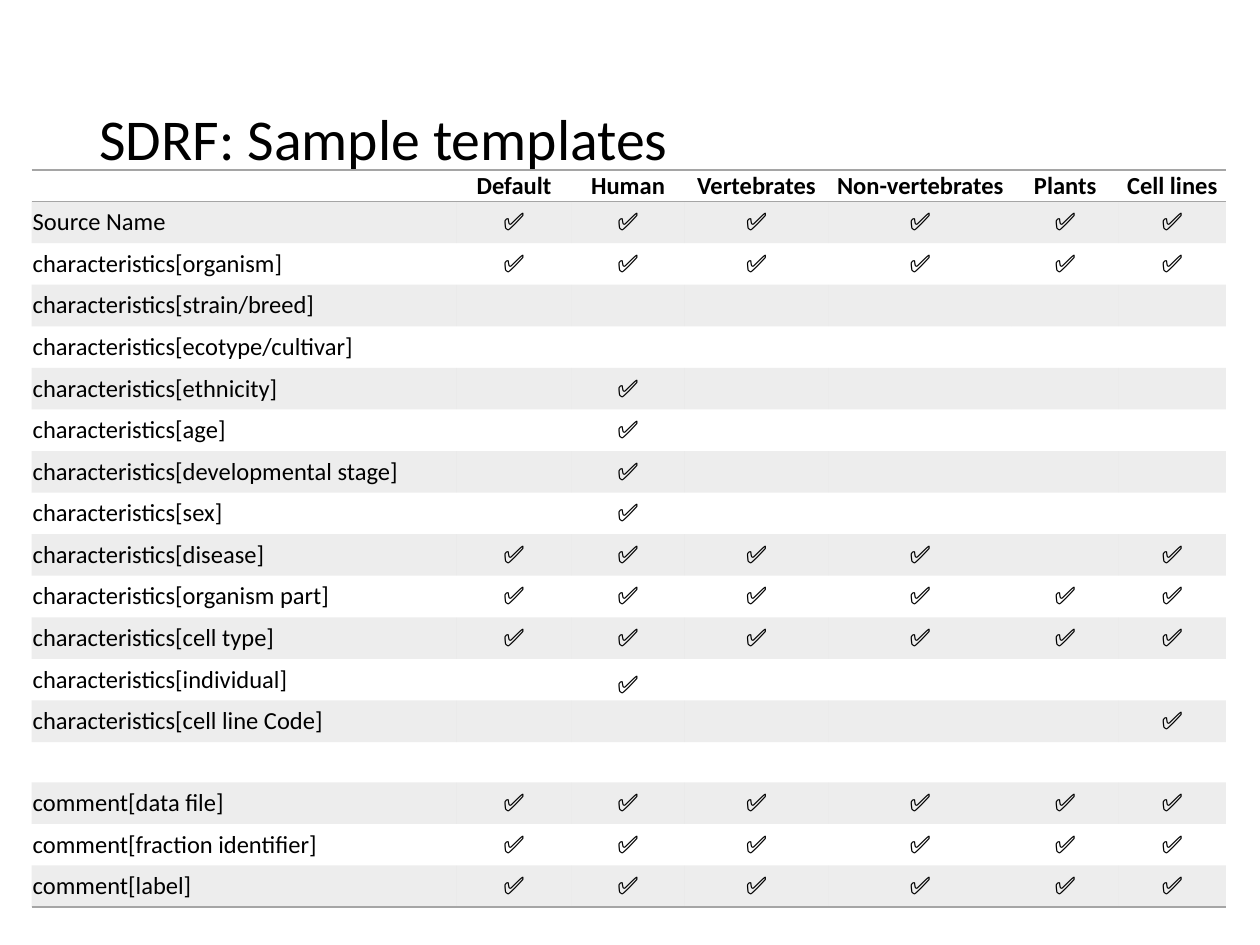
from lxml.etree import SubElement
from pptx import Presentation
from pptx.dml.color import RGBColor as RGB
from pptx.enum.text import MSO_ANCHOR as ANCHOR, PP_ALIGN as ALIGN
from pptx.oxml import parse_xml
from pptx.oxml.ns import nsdecls, qn
from pptx.util import Inches, Pt

COLORS = {"text": "000000", "rule": "A5A5A5", "band": "A5A5A5"}
TICK = "✅"
NO_STYLE = "{2D5ABB26-0587-4C30-8999-92F81FD0307C}"

HEADER = ["", "Default", "Human", "Vertebrates", "Non-vertebrates", "Plants", "Cell lines"]
# Each property with the template columns (1 to 6) that require it
ALL = "123456"
PROPERTIES = [
    ("Source Name", ALL),
    ("characteristics[organism]", ALL),
    ("characteristics[strain/breed]", ""),
    ("characteristics[ecotype/cultivar]", ""),
    ("characteristics[ethnicity]", "2"),
    ("characteristics[age]", "2"),
    ("characteristics[developmental stage]", "2"),
    ("characteristics[sex]", "2"),
    ("characteristics[disease]", "12346"),
    ("characteristics[organism part]", ALL),
    ("characteristics[cell type]", ALL),
    ("characteristics[individual]", "2"),
    ("characteristics[cell line Code]", "6"),
    ("", ""),
    ("comment[data file]", ALL),
    ("comment[fraction identifier]", ALL),
    ("comment[label]", ALL),
]
# Grid of 100 columns by 75 rows
COLUMN_WIDTHS = [33.7, 9.2, 8.9, 11.5, 14.5, 8.5, 8.5]
HEADER_ROW, BODY_ROW, BLANK_ROW = 2.5, 3.3, 3.2


class Deck:
    font, title_size, table_size, blank_size = "Calibri", 33, 14, 12

    def __init__(self, prs):
        self.prs = prs
        self.slide = prs.slides.add_slide(prs.slide_layouts[6])

    def x(self, columns):
        return round(self.prs.slide_width * columns / 100)

    def y(self, rows):
        return round(self.prs.slide_height * rows / 75)

    def run(self, p, text, size, bold=False):
        r = p.add_run()
        r.text = text
        r.font.name, r.font.size, r.font.bold = self.font, Pt(size), bold
        r.font.color.rgb = RGB.from_string(COLORS["text"])

    def title(self, text, left, top, width, height):
        sp = self.slide.shapes.add_textbox(self.x(left), self.y(top), self.x(width), self.y(height))
        tf = sp.text_frame
        tf.word_wrap, tf.vertical_anchor = True, ANCHOR.MIDDLE
        p = tf.paragraphs[0]
        p.line_spacing = 0.9
        self.run(p, text, self.title_size)

    def table(self, left, top, widths, heights):
        frame = self.slide.shapes.add_table(
            len(heights), len(widths), self.x(left), self.y(top),
            self.x(sum(widths)), self.y(sum(heights)))
        table = frame.table
        table.first_row = table.horz_banding = False
        table._tbl.tblPr.find(qn("a:tableStyleId")).text = NO_STYLE
        for column, width in zip(table.columns, widths):
            column.width = self.x(width)
        for row, height in zip(table.rows, heights):
            row.height = self.y(height)
        return table

    def cell(self, cell, text, centred, header=False, tight=False, banded=False, edges=()):
        cell.margin_left = cell.margin_right = Inches(0.01)
        cell.margin_top = Inches(0.01) if tight else Pt(3.4)
        cell.margin_bottom = 0 if tight else Pt(3.4)
        cell.vertical_anchor = ANCHOR.MIDDLE if header else ANCHOR.BOTTOM
        p = cell.text_frame.paragraphs[0]
        p.alignment = ALIGN.CENTER if centred else ALIGN.LEFT
        if text:
            self.run(p, text, self.table_size, header)
        else:
            SubElement(p._p, qn("a:endParaRPr"), sz=str(self.blank_size * 100))
        if banded:
            cell.fill.solid()
            cell.fill.fore_color.rgb = RGB.from_string(COLORS["band"])
            color = cell._tc.tcPr.find(qn("a:solidFill"))[0]
            SubElement(color, qn("a:alpha"), val="20000")
        else:
            cell.fill.background()
        # Rules come before the fill in the cell properties
        for i, edge in enumerate(edges):
            cell._tc.tcPr.insert(i, parse_xml(
                f'<a:{edge} {nsdecls("a")} w="12700"><a:solidFill>'
                f'<a:srgbClr val="{COLORS["rule"]}"/></a:solidFill></a:{edge}>'))


def main():
    prs = Presentation()
    prs.slide_width, prs.slide_height = Inches(10), Inches(7.5)
    deck = Deck(prs)

    # Title
    deck.title("SDRF: Sample templates", 6.9, 4, 86.2, 14.5)

    # Table of properties by template
    heights = [HEADER_ROW] + [BODY_ROW if name else BLANK_ROW for name, _ in PROPERTIES]
    table = deck.table(2.5, 13.5, COLUMN_WIDTHS, heights)
    for c, heading in enumerate(HEADER):
        deck.cell(table.cell(0, c), heading, True, header=True, tight=True, edges=("lnT", "lnB"))
    for r, (name, ticks) in enumerate(PROPERTIES, 1):
        edges = ("lnB",) if r == len(PROPERTIES) else ()
        for c in range(len(HEADER)):
            text = (TICK if str(c) in ticks else "") if c else name
            tight = c == 2 and name == "characteristics[individual]"
            deck.cell(table.cell(r, c), text, c > 0, tight=tight, banded=r % 2 == 1, edges=edges)

    prs.save("out.pptx")


if __name__ == "__main__":
    main()
